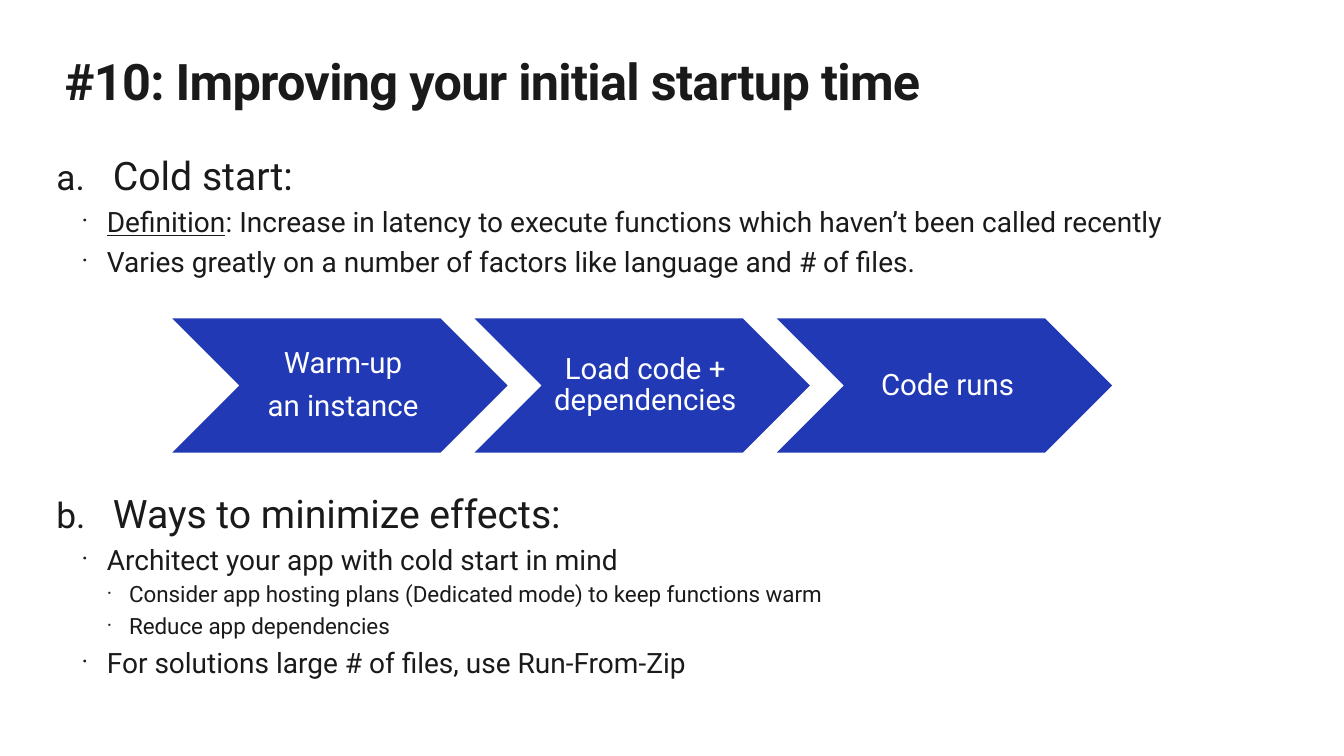
from lxml.etree import SubElement
from pptx import Presentation
from pptx.dml.color import RGBColor
from pptx.enum.shapes import MSO_SHAPE
from pptx.enum.text import MSO_ANCHOR, PP_ALIGN
from pptx.oxml.ns import qn
from pptx.util import Inches, Pt

CHEVRON = MSO_SHAPE.CHEVRON
MIDDLE = MSO_ANCHOR.MIDDLE
CENTER = PP_ALIGN.CENTER
INK = RGBColor(0x1A, 0x1A, 0x1A)
BLUE = RGBColor(0x21, 0x39, 0xB5)
WHITE = RGBColor(0xFF, 0xFF, 0xFF)
FONT = "Roboto"

SIZES = [28, 20, 16]
INDENTS = [(0.56, 0.56), (0.5, 0.25), (0.72, 0.22)]

COLD = [
    (0, ["Cold start:"]),
    (1, ["Definition", ": Increase in latency to execute functions "
         "which haven’t been called recently"]),
    (1, ["Varies greatly on a number of factors like language and # of files."]),
]
WAYS = [
    (0, ["Ways to minimize effects:"]),
    (1, ["Architect your app with cold start in mind"]),
    (2, ["Consider app hosting plans (Dedicated mode) to keep functions warm"]),
    (2, ["Reduce app dependencies"]),
    (1, ["For solutions large # of files, use Run-From-Zip"]),
]
STEPS = ["Warm-up\nan instance", "Load code + dependencies", "Code runs"]


def style(font, size, color, bold=False):
    font.name = FONT
    font.size = Pt(size)
    font.color.rgb = color
    font.bold = bold


def add_box(slide, left, top, width, height):
    box = slide.shapes.add_textbox(
        Inches(left), Inches(top), Inches(width), Inches(height))
    frame = box.text_frame
    frame.word_wrap = True
    frame.margin_left = frame.margin_right = 0
    frame.margin_top = frame.margin_bottom = 0
    return frame


def add_title(slide, left, top, width, height):
    frame = add_box(slide, left, top, width, height)
    frame.text = "#10: Improving your initial startup time"
    run = frame.paragraphs[0].runs[0]
    style(run.font, 36, INK, True)
    run.font._element.set("spc", "-50")


def add_bullet(para, level, number):
    left, hang = INDENTS[level]
    props = para._p.get_or_add_pPr()
    props.set("marL", str(Inches(left)))
    props.set("indent", str(-Inches(hang)))
    SubElement(props, qn("a:buSzPct"), val="90000")
    SubElement(props, qn("a:buFont"), typeface=FONT)
    if level == 0:
        SubElement(props, qn("a:buAutoNum"),
                   type="alphaLcPeriod", startAt=str(number))
    else:
        SubElement(props, qn("a:buChar"), char="·")


def add_list(slide, items, number, left, top, width, height):
    frame = add_box(slide, left, top, width, height)
    for index, (level, parts) in enumerate(items):
        para = frame.paragraphs[0] if index == 0 else frame.add_paragraph()
        para.level = level
        add_bullet(para, level, number)
        if index:
            para.space_before = Pt(round(SIZES[level] * 0.22, 1))
        for part in parts:
            run = para.add_run()
            run.text = part
            style(run.font, SIZES[level], INK)
        if len(parts) > 1:
            para.runs[0].font.underline = True


def add_step(slide, text, left, top, width, height):
    step = slide.shapes.add_shape(
        CHEVRON, Inches(left), Inches(top), Inches(width), Inches(height))
    step.shadow.inherit = False
    step.fill.solid()
    step.fill.fore_color.rgb = BLUE
    step.line.fill.background()
    frame = step.text_frame
    frame.word_wrap = True
    frame.vertical_anchor = MIDDLE
    frame.margin_left = Inches(0.09)
    frame.margin_right = frame.margin_top = frame.margin_bottom = Inches(0.03)
    frame.text = text
    for para in frame.paragraphs:
        para.alignment = CENTER
        para.line_spacing = 0.9
        para.space_after = Pt(7.5)
        style(para.runs[0].font, 21, WHITE)


def add_flow(slide, left, top, width, height):
    wide = height * 2.5
    pitch = (width - wide) / (len(STEPS) - 1)
    for index, text in enumerate(STEPS):
        add_step(slide, text, left + index * pitch, top, wide, height)


def main():
    deck = Presentation()
    deck.slide_width = Inches(13.33)
    deck.slide_height = Inches(7.5)
    slide = deck.slides.add_slide(deck.slide_layouts[6])
    add_title(slide, 0.64, 0.5, 12.05, 0.61)
    add_list(slide, COLD, 1, 0.56, 1.5, 12.61, 1.3)
    add_flow(slide, 1.71, 3.16, 9.32, 1.33)
    add_list(slide, WAYS, 2, 0.56, 4.85, 12.61, 2.05)
    deck.save("out.pptx")


if __name__ == "__main__":
    main()
